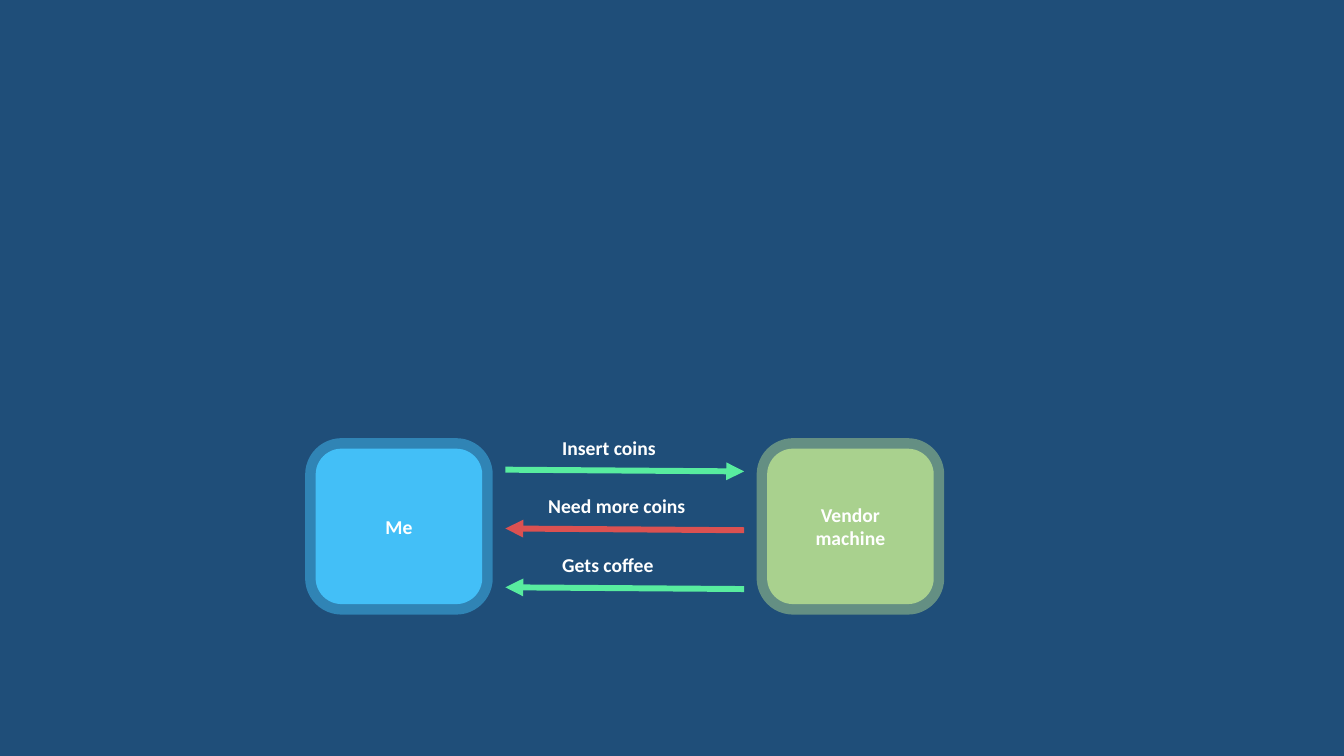
from lxml import etree
from pptx import Presentation
from pptx.dml.color import RGBColor
from pptx.enum.shapes import MSO_CONNECTOR, MSO_SHAPE
from pptx.enum.text import MSO_ANCHOR, MSO_AUTO_SIZE, PP_ALIGN
from pptx.oxml.ns import qn
from pptx.util import Pt

STRAIGHT = MSO_CONNECTOR.STRAIGHT
ROUNDED_RECTANGLE = MSO_SHAPE.ROUNDED_RECTANGLE
MIDDLE = MSO_ANCHOR.MIDDLE
FIT_SHAPE = MSO_AUTO_SIZE.SHAPE_TO_FIT_TEXT
CENTER = PP_ALIGN.CENTER
LEFT = PP_ALIGN.LEFT

NAVY = RGBColor(0x1F, 0x4E, 0x79)
WHITE = RGBColor(0xFF, 0xFF, 0xFF)
BLUE = RGBColor(0x43, 0xBF, 0xF7)
SAGE = RGBColor(0xA9, 0xD1, 0x8E)
GREEN = RGBColor(0x58, 0xEC, 0x9F)
RED = RGBColor(0xDB, 0x51, 0x51)

ARROW_LEFT, ARROW_RIGHT = 361, 531.5
FIRST_ARROW_TOP = 335.5
FIRST_LABEL_TOP = 307.5
MESSAGE_PITCH = 42
ARROW_DROP = 1.25

PARTIES = [
    ("Me", 225.5, BLUE, 48),
    ("Vendor machine", 548, SAGE, 50),
]
MESSAGES = [
    ("Insert coins", 394.5, 89, GREEN, "a:tailEnd"),
    ("Need more coins", 384.5, 121, RED, "a:headEnd"),
    ("Gets coffee", 394.5, 87, GREEN, "a:headEnd"),
]


def add_text(frame, text, alignment):
    paragraph = frame.paragraphs[0]
    paragraph.alignment = alignment
    run = paragraph.add_run()
    run.text = text
    run.font.name = "Calibri"
    run.font.size = Pt(14)
    run.font.bold = True
    run.font.color.rgb = WHITE


def add_party(slide, name, left, color, opacity):
    shape = slide.shapes.add_shape(ROUNDED_RECTANGLE, Pt(left), Pt(320.5), Pt(119), Pt(111))
    shape.shadow.inherit = False
    shape.fill.solid()
    shape.fill.fore_color.rgb = color
    shape.line.color.rgb = color
    shape.line.width = Pt(15)
    line_color = shape.line._get_or_add_ln().find(".//" + qn("a:srgbClr"))
    etree.SubElement(line_color, qn("a:alpha"), val=str(opacity * 1000))
    shape.text_frame.word_wrap = True
    shape.text_frame.vertical_anchor = MIDDLE
    add_text(shape.text_frame, name, CENTER)


def add_arrow(slide, top, color, arrow_end):
    connector = slide.shapes.add_connector(
        STRAIGHT, Pt(ARROW_LEFT), Pt(top), Pt(ARROW_RIGHT), Pt(top + ARROW_DROP)
    )
    connector.line.color.rgb = color
    connector.line.width = Pt(4.25)
    etree.SubElement(connector.line._get_or_add_ln(), qn(arrow_end), type="triangle")
    etree.SubElement(connector._element.spPr, qn("a:effectLst"))


def add_label(slide, text, left, top, width):
    box = slide.shapes.add_textbox(Pt(left), Pt(top), Pt(width), Pt(24.25))
    box.text_frame.word_wrap = False
    box.text_frame.auto_size = FIT_SHAPE
    add_text(box.text_frame, text, LEFT)


def main():
    presentation = Presentation()
    presentation.slide_width = Pt(960)
    presentation.slide_height = Pt(540)
    slide = presentation.slides.add_slide(presentation.slide_layouts[6])
    slide.background.fill.solid()
    slide.background.fill.fore_color.rgb = NAVY

    for name, left, color, opacity in PARTIES:
        add_party(slide, name, left, color, opacity)
    for index, (text, left, width, color, arrow_end) in enumerate(MESSAGES):
        offset = index * MESSAGE_PITCH
        add_arrow(slide, FIRST_ARROW_TOP + offset, color, arrow_end)
        add_label(slide, text, left, FIRST_LABEL_TOP + offset, width)

    presentation.save("out.pptx")


if __name__ == "__main__":
    main()
